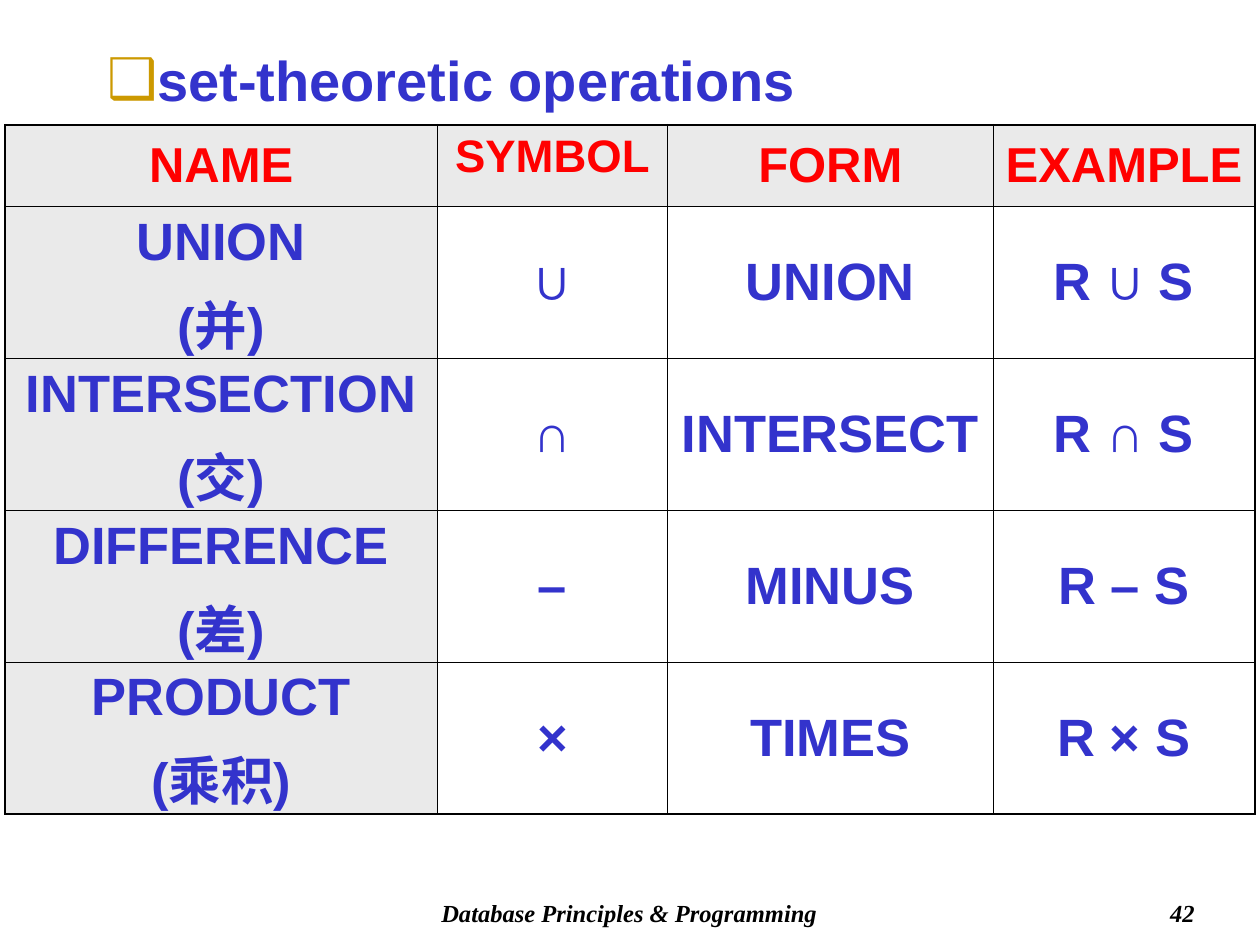
from dataclasses import dataclass

from lxml import etree
from pptx import Presentation
from pptx.dml.color import RGBColor
from pptx.enum import text
from pptx.oxml import ns
from pptx.util import Inches, Pt


@dataclass(frozen=True)
class Theme:
    blue: str = "3333CC"
    red: str = "FF0000"
    gold: str = "CC9900"
    black: str = "000000"
    white: str = "FFFFFF"
    shade: str = "EAEAEA"
    sans: str = "Arial"
    serif: str = "Times New Roman"
    heading: float = 32
    header: float = 28
    symbol_header: float = 26
    body: float = 30
    footer: float = 14
    outer_line: float = 1.08
    inner_line: float = 0.45


THEME = Theme()
CENTER = text.PP_ALIGN.CENTER
COLUMNS = (3.43, 1.83, 2.58, 2.08)
HEADER_HEIGHT = 0.65
ROW_HEIGHT = 1.2
HEADERS = ("NAME", "SYMBOL", "FORM", "EXAMPLE")
OPERATIONS = (
    ("UNION\n(并)", "∪", "UNION", "R ∪ S"),
    ("INTERSECTION\n(交)", "∩", "INTERSECT", "R ∩ S"),
    ("DIFFERENCE\n(差)", "–", "MINUS", "R – S"),
    ("PRODUCT\n(乘积)", "×", "TIMES", "R × S"),
)


def style(para, face, size, color, align, italic=False):
    para.alignment = align
    font = para.font
    font.name, font.size = face, Pt(size)
    font.bold, font.italic = True, italic
    font.color.rgb = RGBColor.from_string(color)


def set_bullet(para, mark, color, indent):
    props = para._p.get_or_add_pPr()
    props.set("marL", str(indent))
    props.set("indent", str(-indent))
    bullet_color = etree.Element(ns.qn("a:buClr"))
    etree.SubElement(bullet_color, ns.qn("a:srgbClr"), val=color)
    bullet = etree.Element(ns.qn("a:buChar"), char=mark)
    run_props = props.find(ns.qn("a:defRPr"))
    run_props.addprevious(bullet_color)
    run_props.addprevious(bullet)


def set_borders(cell, widths):
    props = cell._tc.get_or_add_tcPr()
    for index, (side, width) in enumerate(zip("LRTB", widths)):
        line = etree.Element(ns.qn(f"a:ln{side}"), w=str(Pt(width)))
        fill = etree.SubElement(line, ns.qn("a:solidFill"))
        etree.SubElement(fill, ns.qn("a:srgbClr"), val=THEME.black)
        props.insert(index, line)


def add_heading(page, box, words):
    heading = page.placeholders[1]
    heading.left, heading.top, heading.width, heading.height = map(Inches, box)
    frame = heading.text_frame
    frame.text = words
    frame.vertical_anchor = text.MSO_ANCHOR.TOP
    frame.auto_size = text.MSO_AUTO_SIZE.NONE
    para = frame.paragraphs[0]
    para.space_before = Pt(8)
    style(para, THEME.sans, THEME.heading, THEME.blue, text.PP_ALIGN.LEFT)
    set_bullet(para, "❑", THEME.gold, Inches(0.38))


def fill_cell(cell, words, size, color, shaded):
    cell.margin_left = cell.margin_right = Inches(0.1)
    cell.margin_top = cell.margin_bottom = Inches(0.05)
    cell.fill.solid()
    cell.fill.fore_color.rgb = RGBColor.from_string(
        THEME.shade if shaded else THEME.white)
    cell.text = words
    for para in cell.text_frame.paragraphs:
        para.space_before = Pt(size / 4)
        style(para, THEME.sans, size, color, CENTER)


def add_operations(page, box):
    rows = (HEADERS,) + OPERATIONS
    last_row, last_column = len(rows) - 1, len(COLUMNS) - 1
    table = page.shapes.add_table(
        len(rows), len(COLUMNS), *map(Inches, box)).table
    table.first_row = table.horz_banding = False
    for column, width in zip(table.columns, COLUMNS):
        column.width = Inches(width)
    for r, row in enumerate(rows):
        table.rows[r].height = Inches(ROW_HEIGHT if r else HEADER_HEIGHT)
        for c, words in enumerate(row):
            cell = table.cell(r, c)
            is_symbol_header = words == "SYMBOL"
            if r:
                size, color = THEME.body, THEME.blue
            else:
                size = THEME.symbol_header if is_symbol_header else THEME.header
                color = THEME.red
            fill_cell(cell, words, size, color, shaded=r == 0 or c == 0)
            cell.vertical_anchor = (
                text.MSO_ANCHOR.TOP if is_symbol_header
                else text.MSO_ANCHOR.MIDDLE)
            on_edge = (c == 0, c == last_column, r == 0, r == last_row)
            set_borders(cell, [THEME.outer_line if edge else THEME.inner_line
                               for edge in on_edge])


def add_footer(page, box, words, align):
    frame = page.shapes.add_textbox(*map(Inches, box)).text_frame
    frame.word_wrap = True
    frame.text = words
    style(frame.paragraphs[0], THEME.serif, THEME.footer, THEME.black,
          align, italic=True)


def main():
    deck = Presentation()
    deck.slide_width, deck.slide_height = Inches(10), Inches(7.5)
    page = deck.slides.add_slide(deck.slide_layouts[1])
    title = page.shapes.title
    title.element.getparent().remove(title.element)
    add_footer(page, (2.83, 7.08, 4.33, 0.33),
               "Database Principles & Programming", CENTER)
    add_footer(page, (7.5, 7.08, 2.08, 0.33), "42", text.PP_ALIGN.RIGHT)
    add_heading(page, (0.75, 0.31, 8.5, 5.42), "set-theoretic operations")
    table_height = HEADER_HEIGHT + ROW_HEIGHT * len(OPERATIONS)
    add_operations(page, (0.04, 0.99, sum(COLUMNS), table_height))
    deck.save("out.pptx")


if __name__ == "__main__":
    main()
